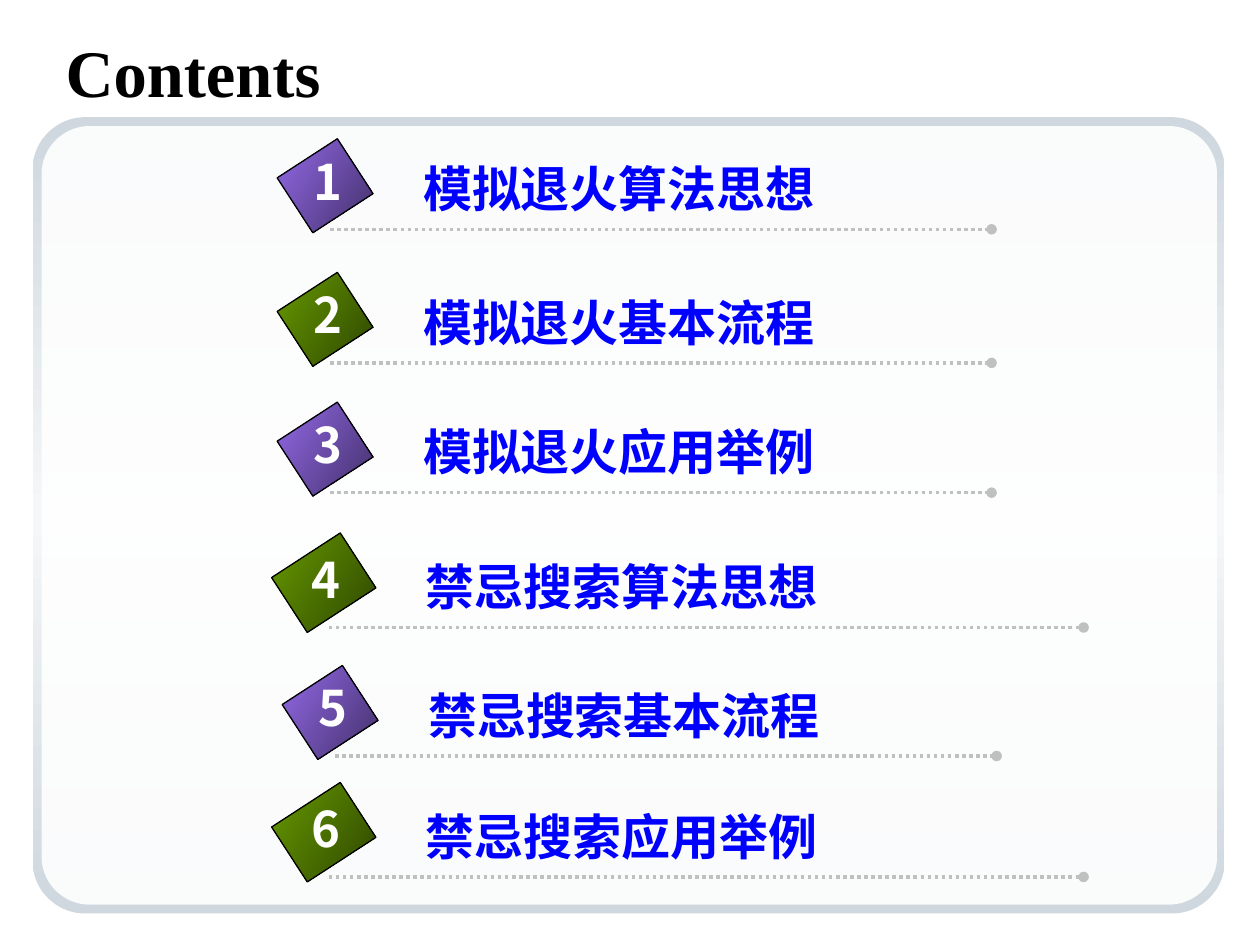
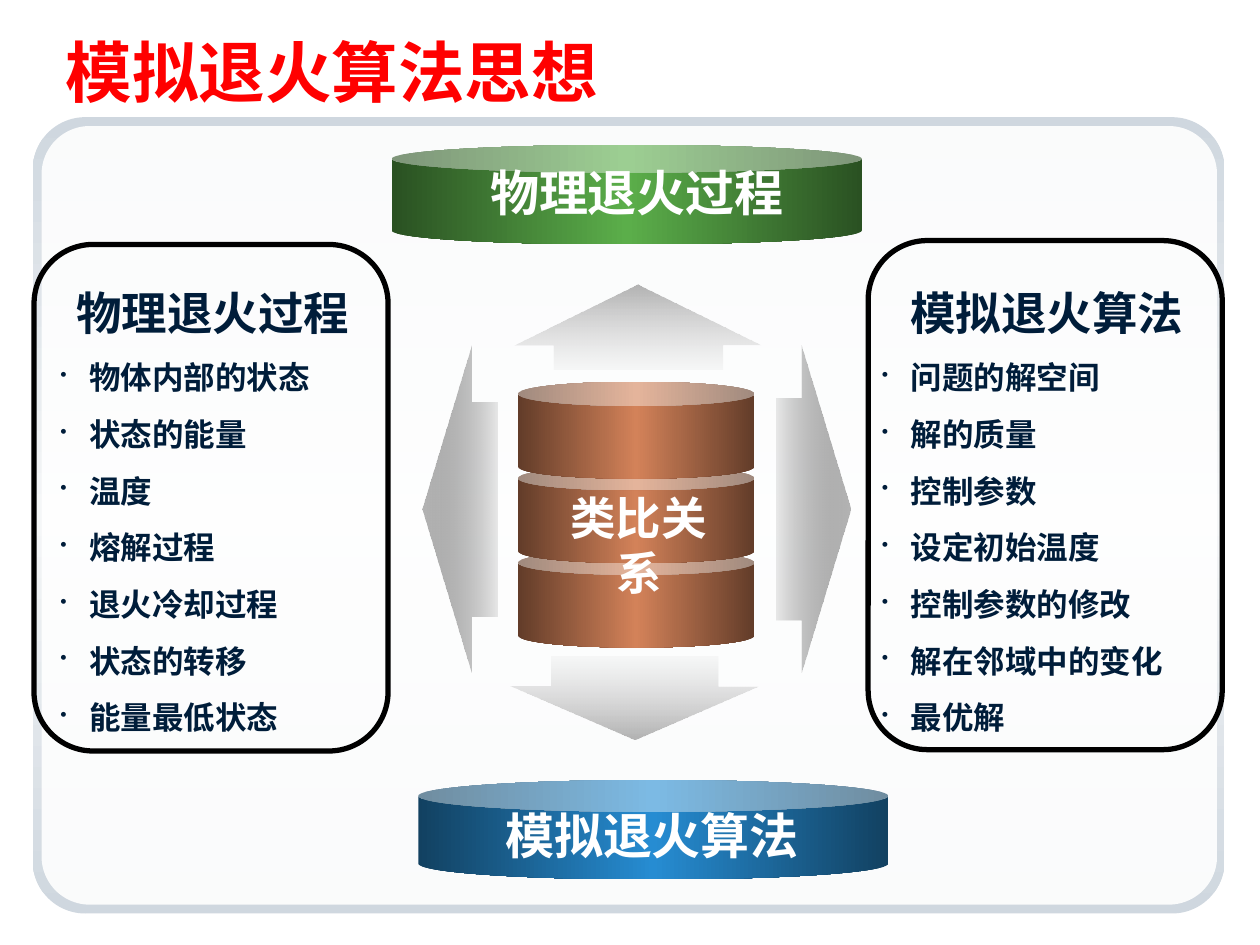
"""Build a contents slide and an annealing analogy slide."""
from lxml import etree
from pptx import Presentation
from pptx.dml.color import RGBColor
from pptx.enum.dml import MSO_LINE
from pptx.enum.shapes import MSO_CONNECTOR, MSO_SHAPE
from pptx.enum.text import MSO_ANCHOR, PP_ALIGN
from pptx.oxml.ns import qn
from pptx.util import Pt

PX = 9144
CAN = MSO_SHAPE.CAN
ROUNDED = MSO_SHAPE.ROUNDED_RECTANGLE
RECTANGLE = MSO_SHAPE.RECTANGLE
STRAIGHT = MSO_CONNECTOR.STRAIGHT
DOTTED = MSO_LINE.ROUND_DOT
MIDDLE = MSO_ANCHOR.MIDDLE
LEFT, CENTER = PP_ALIGN.LEFT, PP_ALIGN.CENTER
CJK = "Noto Sans CJK SC"
BLACK, WHITE, BLUE, RED, NAVY = "000000", "FFFFFF", "0000FF", "FF0000", "001D3A"
GREY, SILVER, CHARCOAL = "B2B2B2", "CECECE", "525252"


def add_filled(page, kind, box, stops, angle=0, adjust=()):
    """Add a shape without outline, filled by (position, colour, opacity) stops."""
    shape = page.shapes.add_shape(kind, *[n * PX for n in box])
    shape.shadow.inherit = False
    shape.line.fill.background()
    for index, value in enumerate(adjust):
        shape.adjustments[index] = value
    shape.fill.background()
    gradient = etree.Element(qn("a:gradFill"), rotWithShape="0")
    stop_list = etree.SubElement(gradient, qn("a:gsLst"))
    for position, colour, opacity in stops:
        stop = etree.SubElement(stop_list, qn("a:gs"), pos=str(position * 1000))
        paint = etree.SubElement(stop, qn("a:srgbClr"), val=colour)
        if opacity < 100:
            etree.SubElement(paint, qn("a:alpha"), val=str(opacity * 1000))
    etree.SubElement(gradient, qn("a:lin"), ang=str(angle * 60000), scaled="0")
    properties = shape.element.spPr
    properties.replace(properties.find(qn("a:noFill")), gradient)
    return shape


def write(frame, lines, size, colour, font, align=LEFT, wrap=False):
    """Write bold lines into a text frame."""
    frame.word_wrap = wrap
    frame.text = "\n".join(lines)
    for para in frame.paragraphs:
        para.alignment = align
        for span in para.runs:
            span.font.size = Pt(size)
            span.font.bold = True
            span.font.name = font
            span.font.color.rgb = RGBColor.from_string(colour)
            latin = span.font._element.find(qn("a:latin"))
            latin.addnext(etree.Element(qn("a:ea"), typeface=CJK))


deck = Presentation()
deck.slide_width, deck.slide_height = 1000 * PX, 750 * PX
layout = deck.slide_layouts[5]
heading = layout.placeholders[0]
heading.left, heading.top, heading.width, heading.height = [n * PX for n in (42, 25, 933, 62)]
pages = []
for title, colour in (("Contents", BLACK), ("模拟退火算法思想", RED)):
    page = deck.slides.add_slide(layout)
    frame = page.shapes.title.text_frame
    frame.vertical_anchor = MIDDLE
    write(frame, [title], 38, colour, "Times New Roman", wrap=True)
    pages.append(page)
contents, analogy = pages

border = [(0, "CFD7DF", 100), (50, "F5F7F8", 100), (100, "CFD7DF", 100)]
panel = [(0, WHITE, 90), (100, WHITE, 90)]
frame_shape = add_filled(contents, ROUNDED, (26, 93, 946, 632), border, 90, [0.066])
panel_shape = add_filled(contents, ROUNDED, (33, 100, 933, 618), panel, 90, [0.062])
layout.shapes.element.insert(2, frame_shape.element)
layout.shapes.element.insert(3, panel_shape.element)

topics = [
    ("模拟退火算法思想", 182, 0), ("模拟退火基本流程", 288, 0), ("模拟退火应用举例", 391, 0),
    ("禁忌搜索算法思想", 498, -1), ("禁忌搜索基本流程", 600, 4), ("禁忌搜索应用举例", 696, -1),
]
for number, (topic, base, shift) in enumerate(topics, 1):
    wide = shift < 0
    end = 860 if wide else 787 + shift
    rule = contents.shapes.add_connector(
        STRAIGHT, (262 + shift) * PX, base * PX, end * PX, base * PX)
    rule.line.color.rgb = RGBColor.from_string("C0C0C0")
    rule.line.width = Pt(2)
    rule.line.dash_style = DOTTED
    etree.SubElement(rule.line._get_or_add_ln(), qn("a:tailEnd"), type="oval")
    etree.SubElement(rule.element.spPr, qn("a:effectLst"))

    light, dark = ("9369E7", "44316B") if number % 2 else ("669900", "2F4700")
    rise, height = (68, 65) if wide else (63, 57)
    diamond = add_filled(contents, RECTANGLE, (232 + shift, base - rise, 52, height),
                         [(0, light, 100), (100, dark, 100)], 33)
    diamond.rotation = 57
    diamond.line.color.rgb = RGBColor.from_string(BLACK)
    diamond.line.width = Pt(0.75)

    text_left = 328 if wide else 326 + shift
    number_left = 237 if wide else 239 + shift
    for text, left, top, width, colour, align in (
            (topic, text_left, base - 61, 339, BLUE, LEFT),
            (str(number), number_left, base - 67, 42, WHITE, CENTER)):
        box = contents.shapes.add_textbox(left * PX, top * PX, width * PX, 57 * PX)
        write(box.text_frame, [text], 28, colour, CJK, align)

columns = [
    ((27, 194, 281, 402), (38, 221, 262, 399),
     ["物理退火过程", "物体内部的状态", "状态的能量", "温度", "熔解过程", "退火冷却过程",
      "状态的转移", "能量最低状态"]),
    ((689, 191, 281, 404), (690, 221, 282, 399),
     ["模拟退火算法", "问题的解空间", "解的质量", "控制参数", "设定初始温度", "控制参数的修改",
      "解在邻域中的变化", "最优解"]),
]
for outline, area, lines in columns:
    card = analogy.shapes.add_shape(ROUNDED, *[n * PX for n in outline])
    card.shadow.inherit = False
    card.adjustments[0] = 0.167
    card.fill.background()
    card.line.color.rgb = RGBColor.from_string(BLACK)
    card.line.width = Pt(3)
    box = analogy.shapes.add_textbox(*[n * PX for n in area])
    write(box.text_frame, lines, 18, NAVY, "DejaVu Sans", wrap=True)
    header, *items = box.text_frame.paragraphs
    header.alignment = CENTER
    header.runs[0].font.size = Pt(26)
    for para in items:
        para.line_spacing = 1.5
        properties = para._p.get_or_add_pPr()
        properties.set("marL", str(23 * PX))
        properties.set("indent", str(-23 * PX))
        bullet_colour = etree.SubElement(properties, qn("a:buClr"))
        etree.SubElement(bullet_colour, qn("a:srgbClr"), val=NAVY)
        etree.SubElement(properties, qn("a:buSzPct"), val="60000")
        etree.SubElement(properties, qn("a:buChar"), char="•")

brown = ("623C29", "D38259")
cans = [
    ((311, 115, 373, 79), 0.279, ("2A5122", "5BAE4A")),
    ((332, 619, 373, 79), 0.32, ("124161", "268CD2")),
] + [((411, top, 188, 77), 0.25, brown) for top in (437, 370, 303)]
for area, lid, (edge, middle) in cans:
    add_filled(analogy, CAN, area, [(0, edge, 100), (50, middle, 100), (100, edge, 100)], 0, [lid])

arrows = [
    (MSO_SHAPE.DOWN_ARROW, (405, 521, 197, 66), (0.671, 0.641), (SILVER, 12), (GREY, 100), 90),
    (MSO_SHAPE.LEFT_ARROW, (335, 274, 60, 260), (0.656, 0.652), (GREY, 100), (CHARCOAL, 12), 0),
    (MSO_SHAPE.RIGHT_ARROW, (616, 274, 59, 260), (0.677, 0.662), (CHARCOAL, 12), (GREY, 100), 0),
    (MSO_SHAPE.UP_ARROW, (408, 226, 196, 67), (0.684, 0.708), (GREY, 100), (SILVER, 12), 90),
]
for kind, area, adjust, start, finish in [arrow[:5] for arrow in arrows]:
    angle = 90 if kind in (MSO_SHAPE.DOWN_ARROW, MSO_SHAPE.UP_ARROW) else 0
    add_filled(analogy, kind, area, [(0, *start), (100, *finish)], angle, adjust)

for text, area, size in (
        ("物理退火过程", (379, 124, 253, 57), 28),
        ("模拟退火算法", (391, 634, 253, 57), 28),
        ("类比关系", (425, 384, 164, 54), 26)):
    box = analogy.shapes.add_textbox(*[n * PX for n in area])
    write(box.text_frame, [text], size, WHITE, "Arial", CENTER)

deck.save("out.pptx")
